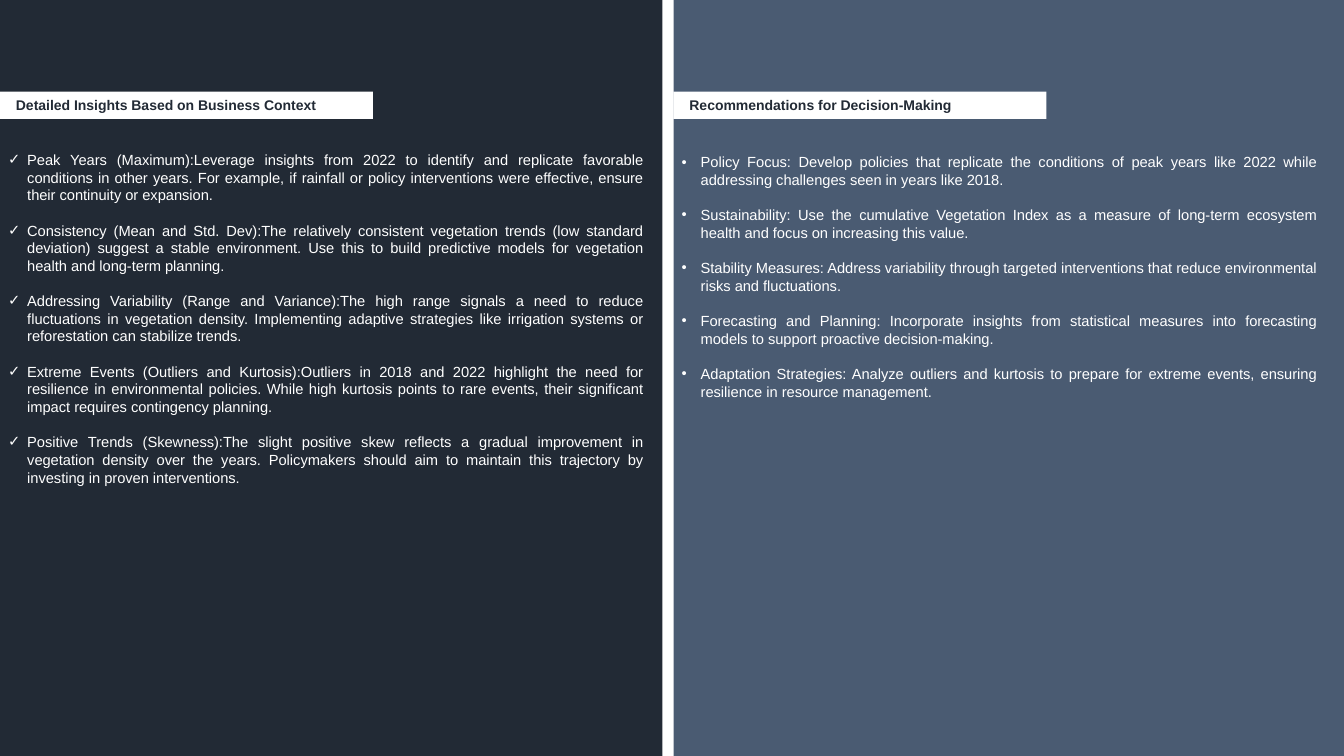
from dataclasses import dataclass

from lxml.etree import SubElement
from pptx import Presentation
from pptx.dml.color import RGBColor
from pptx.enum.shapes import MSO_SHAPE
from pptx.enum.text import MSO_ANCHOR, MSO_AUTO_SIZE, PP_ALIGN
from pptx.oxml.ns import qn
from pptx.util import Inches, Pt


@dataclass(frozen=True)
class Theme:
    dark: RGBColor = RGBColor(0x22, 0x2A, 0x35)
    slate: RGBColor = RGBColor(0x4A, 0x5B, 0x72)
    white: RGBColor = RGBColor(0xFF, 0xFF, 0xFF)
    font: str = "Arial"
    heading_size: float = 10
    body_size: float = 10.5
    item_gap: float = 12.6


@dataclass(frozen=True)
class Box:
    left: float
    top: float
    width: float
    height: float

    def inner(self, left, top, width, height):
        """Return a box placed relative to this one."""
        return Box(self.left + left, self.top + top, width, height)

    def lengths(self):
        return [Inches(value) for value in (self.left, self.top, self.width, self.height)]


THEME = Theme()
SLIDE = Box(0, 0, 13.33, 7.5)
INSIGHTS = [
    "Peak Years (Maximum):Leverage insights from 2022 to identify and replicate favorable conditions in other years. For example, if rainfall or policy interventions were effective, ensure their continuity or expansion.",
    "Consistency (Mean and Std. Dev):The relatively consistent vegetation trends (low standard deviation) suggest a stable environment. Use this to build predictive models for vegetation health and long-term planning.",
    "Addressing Variability (Range and Variance):The high range signals a need to reduce fluctuations in vegetation density. Implementing adaptive strategies like irrigation systems or reforestation can stabilize trends.",
    "Extreme Events (Outliers and Kurtosis):Outliers in 2018 and 2022 highlight the need for resilience in environmental policies. While high kurtosis points to rare events, their significant impact requires contingency planning.",
    "Positive Trends (Skewness):The slight positive skew reflects a gradual improvement in vegetation density over the years. Policymakers should aim to maintain this trajectory by investing in proven interventions.",
]
RECOMMENDATIONS = [
    "Policy Focus: Develop policies that replicate the conditions of peak years like 2022 while addressing challenges seen in years like 2018.",
    "Sustainability: Use the cumulative Vegetation Index as a measure of long-term ecosystem health and focus on increasing this value.",
    "Stability Measures: Address variability through targeted interventions that reduce environmental risks and fluctuations.",
    "Forecasting and Planning: Incorporate insights from statistical measures into forecasting models to support proactive decision-making.",
    "Adaptation Strategies: Analyze outliers and kurtosis to prepare for extreme events, ensuring resilience in resource management.",
]


def style_font(paragraph, size, color, bold=False):
    paragraph.font.name = THEME.font
    paragraph.font.size = Pt(size)
    paragraph.font.color.rgb = color
    paragraph.font.bold = bold


def set_indent(paragraph, margin, first_line=0):
    properties = paragraph._p.get_or_add_pPr()
    properties.set("marL", str(Inches(margin)))
    properties.set("indent", str(Inches(first_line)))
    return properties


def add_rectangle(slide, box, color):
    shape = slide.shapes.add_shape(MSO_SHAPE.RECTANGLE, *box.lengths())
    shape.shadow.inherit = False
    shape.fill.solid()
    shape.fill.fore_color.rgb = color
    shape.line.fill.background()
    return shape


def add_heading(slide, box, text):
    frame = add_rectangle(slide, box, THEME.white).text_frame
    frame.word_wrap = True
    frame.vertical_anchor = MSO_ANCHOR.MIDDLE
    paragraph = frame.paragraphs[0]
    paragraph.text = text
    paragraph.alignment = PP_ALIGN.LEFT
    style_font(paragraph, THEME.heading_size, THEME.dark, bold=True)
    set_indent(paragraph, 0.06)


def add_bullet_list(slide, box, items, bullet):
    frame = slide.shapes.add_textbox(*box.lengths()).text_frame
    frame.word_wrap = True
    frame.auto_size = MSO_AUTO_SIZE.SHAPE_TO_FIT_TEXT
    frame.vertical_anchor = MSO_ANCHOR.MIDDLE
    frame.margin_left = frame.margin_right = 0
    for index, item in enumerate(items):
        paragraph = frame.add_paragraph() if index else frame.paragraphs[0]
        paragraph.text = item
        paragraph.alignment = PP_ALIGN.JUSTIFY
        paragraph.space_before = Pt(THEME.item_gap if index else 0)
        style_font(paragraph, THEME.body_size, THEME.white)
        properties = set_indent(paragraph, 0.19, -0.19)
        SubElement(properties, qn("a:buFont")).set("typeface", THEME.font)
        SubElement(properties, qn("a:buChar")).set("char", bullet)


def add_panel(slide, box, color, heading, items, bullet, list_top, list_height):
    """Place a full-height panel with its heading strip and bullet list."""
    add_rectangle(slide, box, color)
    add_heading(slide, box.inner(0, 0.91, 3.7, 0.27), heading)
    add_bullet_list(slide, box.inner(0.08, list_top, 6.31, list_height), items, bullet)


def main():
    presentation = Presentation()
    presentation.slide_width = Inches(SLIDE.width)
    presentation.slide_height = Inches(SLIDE.height)
    slide = presentation.slides.add_slide(presentation.slide_layouts[6])
    add_panel(slide, SLIDE.inner(0, 0, 6.57, SLIDE.height), THEME.dark,
              "Detailed Insights Based on Business Context", INSIGHTS, "✓", 1.43, 3.46)
    add_panel(slide, SLIDE.inner(6.68, 0, 6.65, SLIDE.height), THEME.slate,
              "Recommendations for Decision-Making", RECOMMENDATIONS, "•", 1.46, 2.57)
    presentation.save("out.pptx")


if __name__ == "__main__":
    main()
